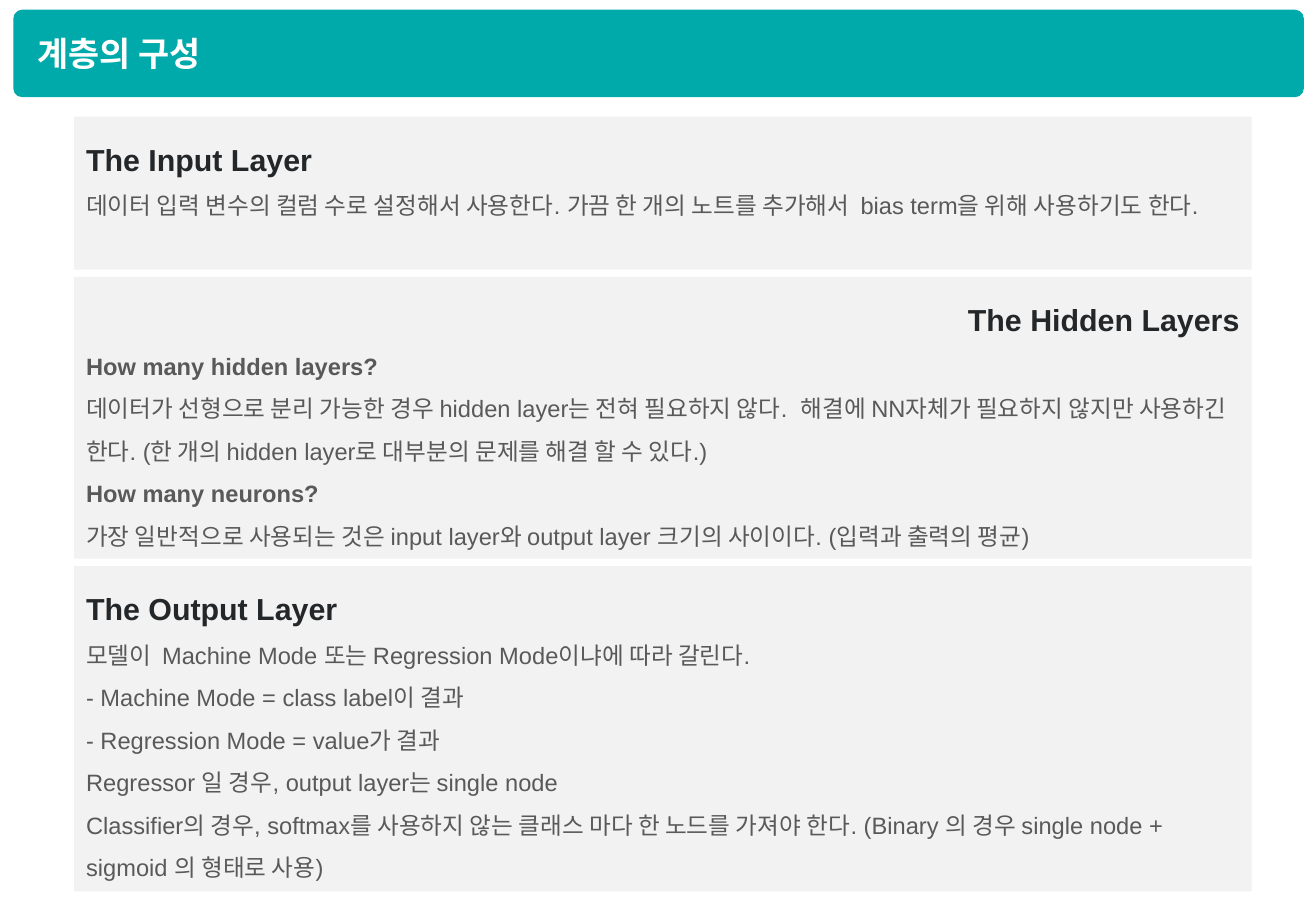
from pptx import Presentation
from pptx.dml.color import RGBColor
from pptx.enum import shapes, text
from pptx.util import Inches, Pt

LEFT, RIGHT = text.PP_ALIGN.LEFT, text.PP_ALIGN.RIGHT
HEAD = dict(size=18, color="242729", bold=True)
ASK = dict(size=14, color="595959", bold=True)
BODY = dict(size=14, color="595959")


def paint(shape, color):
    shape.shadow.inherit = False
    shape.fill.solid()
    shape.fill.fore_color.rgb = RGBColor.from_string(color)
    shape.line.fill.background()


def write(para, words, size, color, bold=False, align=LEFT, spacing=1.5):
    para.alignment = align
    para.line_spacing = spacing
    run = para.add_run()
    run.text = words
    font = run.font
    font.name = "Arial"
    font.size = Pt(size)
    font.bold = bold
    font.color.rgb = RGBColor.from_string(color)


prs = Presentation()
prs.slide_width, prs.slide_height = Inches(10.83), Inches(7.5)
slide = prs.slides.add_slide(prs.slide_layouts[5])

# Title on its banner
banner = slide.shapes.add_shape(
    shapes.MSO_SHAPE.ROUNDED_RECTANGLE,
    Inches(0.11), Inches(0.08), Inches(10.62), Inches(0.72))
banner.adjustments[0] = 0.1
paint(banner, "00AAAA")

title = slide.shapes.title
title._element.addprevious(banner._element)
title.left, title.top = Inches(0.21), Inches(0.22)
title.width, title.height = Inches(7.44), Inches(0.44)
frame = title.text_frame
frame.auto_size = text.MSO_AUTO_SIZE.NONE
frame.vertical_anchor = text.MSO_ANCHOR.MIDDLE
write(frame.paragraphs[0], "계층의 구성", size=20, color="FFFFFF", bold=True, spacing=1)

# One panel per kind of layer: height, then lines with their format
panels = [
    (1.26, [
        ("The Input Layer", HEAD),
        ("데이터 입력 변수의 컬럼 수로 설정해서 사용한다. 가끔 한 개의 노트를 추가해서  "
         "bias term을 위해 사용하기도 한다.", BODY),
    ]),
    (2.32, [
        ("The Hidden Layers", dict(HEAD, align=RIGHT)),
        ("How many hidden layers?", ASK),
        ("데이터가 선형으로 분리 가능한 경우 hidden layer는 전혀 필요하지 않다.  "
         "해결에 NN자체가 필요하지 않지만 사용하긴 한다. "
         "(한 개의 hidden layer로 대부분의 문제를 해결 할 수 있다.)", BODY),
        ("How many neurons?", ASK),
        ("가장 일반적으로 사용되는 것은 input layer와 output layer 크기의 사이이다. "
         "(입력과 출력의 평균)", BODY),
    ]),
    (2.68, [
        ("The Output Layer", HEAD),
        ("모델이  Machine Mode 또는 Regression Mode이냐에 따라 갈린다.", BODY),
        ("- Machine Mode = class label이 결과", BODY),
        ("- Regression Mode = value가 결과", BODY),
        ("Regressor 일 경우, output layer는 single node", BODY),
        ("Classifier의 경우, softmax를 사용하지 않는 클래스 마다 한 노드를 가져야 한다. "
         "(Binary 의 경우 single node + sigmoid 의 형태로 사용)", BODY),
    ]),
]

top, gap = 0.96, 0.06
for height, lines in panels:
    panel = slide.shapes.add_shape(
        shapes.MSO_SHAPE.RECTANGLE,
        Inches(0.61), Inches(top), Inches(9.69), Inches(height))
    paint(panel, "F2F2F2")
    frame = panel.text_frame
    frame.word_wrap = True
    frame.auto_size = text.MSO_AUTO_SIZE.SHAPE_TO_FIT_TEXT
    frame.vertical_anchor = text.MSO_ANCHOR.TOP
    for i, (words, style) in enumerate(lines):
        para = frame.add_paragraph() if i else frame.paragraphs[0]
        write(para, words, **style)
    top += height + gap

prs.save("out.pptx")
